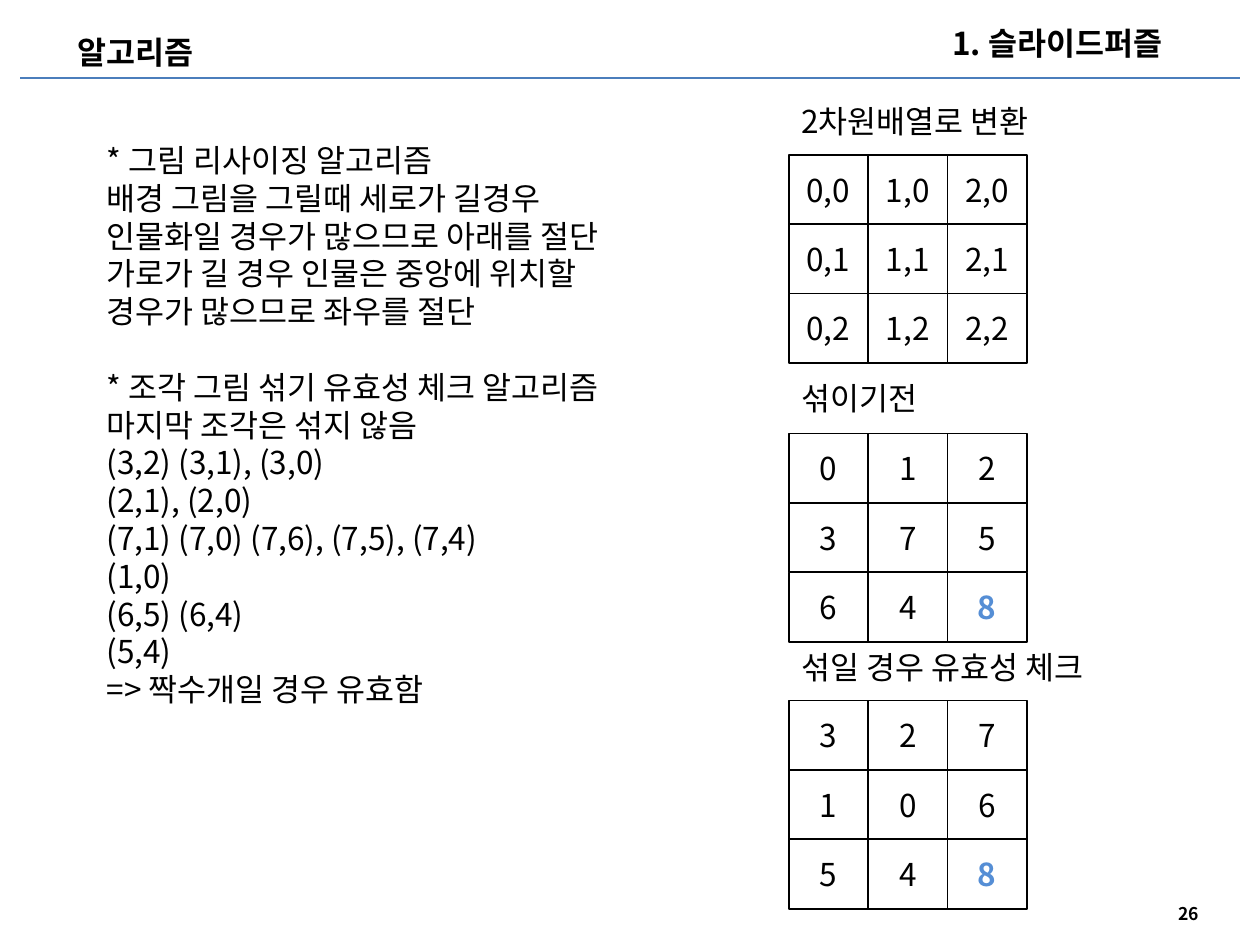
"""Build the sliding puzzle algorithm slide."""
from lxml import etree
from pptx import Presentation
from pptx import util as u
from pptx.dml.color import RGBColor
from pptx.enum import shapes, text
from pptx.oxml.ns import qn

FONT = "Noto Sans CJK KR"
COLORS = {"ink": "000000", "rule": "4B7EBC", "fixed": "558ED5"}
SECTION = "알고리즘"
CHAPTER = "1. 슬라이드퍼즐"
PAGE = "26"
FIXED_PIECE = "8"

ALGORITHMS = [
    [
        "* 그림 리사이징 알고리즘",
        "배경 그림을 그릴때 세로가 길경우",
        "인물화일 경우가 많으므로 아래를 절단",
        "가로가 길 경우 인물은 중앙에 위치할",
        "경우가 많으므로 좌우를 절단",
    ],
    [
        "* 조각 그림 섞기 유효성 체크 알고리즘",
        "마지막 조각은 섞지 않음",
        "(3,2) (3,1), (3,0)",
        "(2,1), (2,0)",
        "(7,1) (7,0) (7,6), (7,5), (7,4)",
        "(1,0)",
        "(6,5) (6,4)",
        "(5,4)",
        "=> 짝수개일 경우 유효함",
    ],
]

# label, label top, board top, rows
BOARDS = [
    ("2차원배열로 변환", 1.93, 3.12,
     [["0,0", "1,0", "2,0"], ["0,1", "1,1", "2,1"], ["0,2", "1,2", "2,2"]]),
    ("섞이기전", 7.52, 8.74, ["012", "375", "648"]),
    ("섞일 경우 유효성 체크", 12.93, 14.12, ["327", "106", "548"]),
]
BOARD_LEFT, PIECE_WIDTH, PIECE_HEIGHT = 15.9, 1.6, 1.4
LINE_PITCH = 21.6


def style(paragraph, size=18, bold=False, color="ink", shadow=False):
    for run in paragraph.runs:
        font = run.font
        font.size, font.bold = u.Pt(size), bold
        font.color.rgb = RGBColor.from_string(COLORS[color])
        font.name = FONT
        properties = run._r.get_or_add_rPr()
        east_asian = etree.Element(qn("a:ea"), typeface=FONT)
        properties.find(qn("a:latin")).addnext(east_asian)
        if shadow:
            effects = etree.Element(qn("a:effectLst"))
            outer = etree.SubElement(effects, qn("a:outerShdw"), blurRad="38100",
                                     dist="38100", dir="2700000", algn="tl")
            black = etree.SubElement(outer, qn("a:srgbClr"), val=COLORS["ink"])
            etree.SubElement(black, qn("a:alpha"), val="43000")
            properties.find(qn("a:solidFill")).addnext(effects)


def write_line(holder, wording, **look):
    frame = holder.text_frame
    frame.text = wording
    frame.word_wrap = False
    frame.auto_size = text.MSO_AUTO_SIZE.NONE
    frame.vertical_anchor = text.MSO_ANCHOR.MIDDLE
    frame.paragraphs[0].alignment = text.PP_ALIGN.LEFT
    style(frame.paragraphs[0], **look)


def add_line(slide, wording, left, top, width, height=1.02, **look):
    box = slide.shapes.add_textbox(u.Cm(left), u.Cm(top), u.Cm(width), u.Cm(height))
    write_line(box, wording, **look)
    box.text_frame.word_wrap = True


def add_heading(slide):
    title = slide.shapes.title
    title.left, title.top = u.Cm(1.3), u.Cm(0.53)
    title.width, title.height = u.Cm(3.07), u.Cm(1.02)
    write_line(title, SECTION, bold=True, shadow=True)
    add_line(slide, CHAPTER, 18.95, 0.36, 5.4, bold=True, shadow=True)
    rule = slide.shapes.add_connector(
        shapes.MSO_CONNECTOR.STRAIGHT, u.Cm(0.41), u.Cm(1.57), u.Cm(24.99), u.Cm(1.57))
    rule.line.color.rgb = RGBColor.from_string(COLORS["rule"])
    rule.line.width = u.Pt(0.75)
    etree.SubElement(rule._element.spPr, qn("a:effectLst"))


def add_algorithms(slide):
    box = slide.shapes.add_textbox(u.Cm(1.9), u.Cm(2.72), u.Cm(11.76), u.Cm(13.34))
    frame = box.text_frame
    frame.word_wrap = True
    paragraph = None
    for section, lines in enumerate(ALGORITHMS):
        for number, wording in enumerate(lines):
            paragraph = frame.add_paragraph() if paragraph else frame.paragraphs[0]
            paragraph.text = wording
            paragraph.line_spacing = u.Pt(LINE_PITCH)
            if section and number == 0:
                paragraph.space_before = u.Pt(LINE_PITCH)
            style(paragraph)


def add_piece(slide, wording, left, top):
    piece = slide.shapes.add_shape(
        shapes.MSO_SHAPE.RECTANGLE, u.Cm(left), u.Cm(top),
        u.Cm(PIECE_WIDTH), u.Cm(PIECE_HEIGHT))
    piece.shadow.inherit = False
    piece.fill.background()
    piece.line.color.rgb = RGBColor.from_string(COLORS["ink"])
    piece.line.width = u.Pt(1)
    fixed = wording == FIXED_PIECE
    write_line(piece, wording, bold=fixed, color="fixed" if fixed else "ink")
    piece.text_frame.word_wrap = True
    piece.text_frame.paragraphs[0].alignment = text.PP_ALIGN.CENTER


def main():
    deck = Presentation()
    deck.slide_width, deck.slide_height = u.Cm(25.4), u.Cm(19.05)
    slide = deck.slides.add_slide(deck.slide_layouts[5])
    add_heading(slide)
    add_algorithms(slide)
    for label, label_top, board_top, rows in BOARDS:
        add_line(slide, label, BOARD_LEFT, label_top, 7)
        for row, pieces in enumerate(rows):
            for column, wording in enumerate(pieces):
                add_piece(slide, wording, BOARD_LEFT + column * PIECE_WIDTH,
                          board_top + row * PIECE_HEIGHT)
    add_line(slide, PAGE, 23.5, 18.08, 1.65, 0.69, size=10, bold=True)
    deck.save("out.pptx")


if __name__ == "__main__":
    main()
